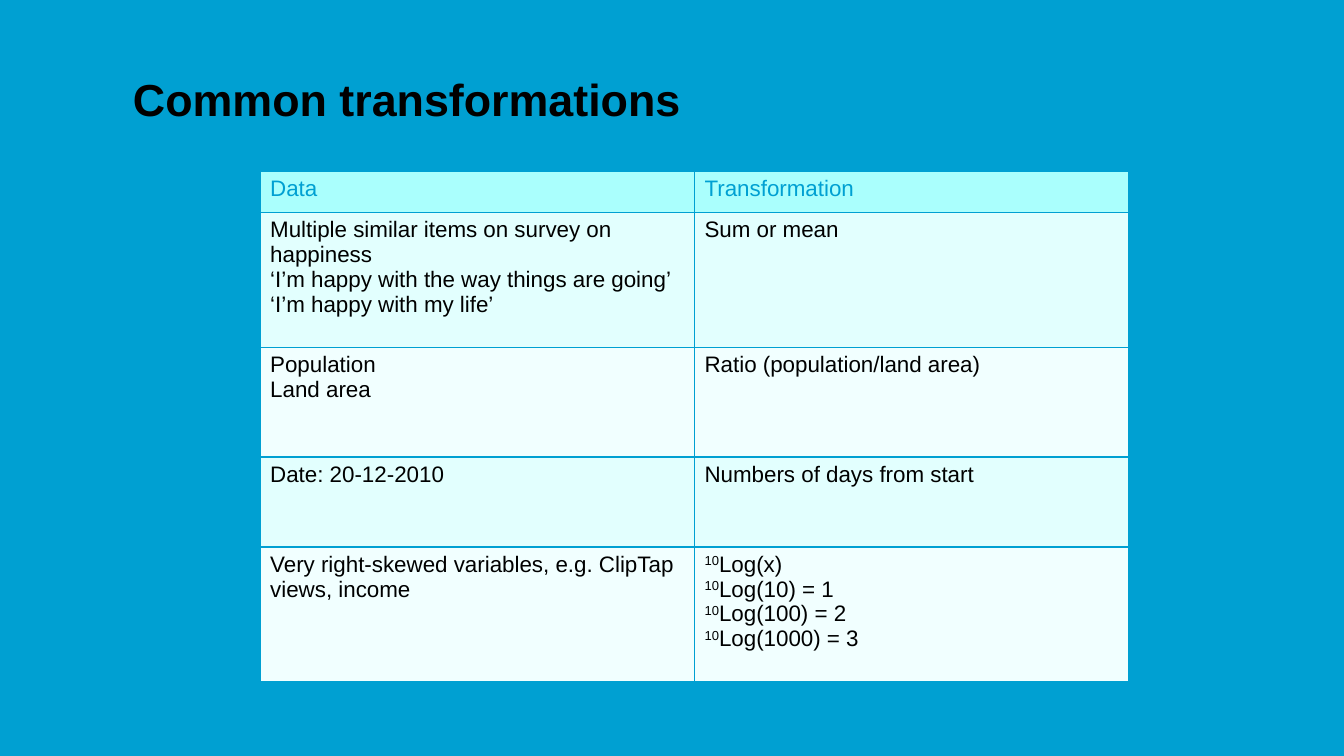
from lxml.etree import SubElement
from pptx import Presentation
from pptx.dml.color import RGBColor
from pptx.enum.text import MSO_ANCHOR as Anchor, PP_ALIGN as Align
from pptx.oxml.ns import qn
from pptx.util import Pt

BLUE, BLACK, HEADER = "00A0D2", "000000", "AAFFFD"
BANDS = ["E2FFFE", "F1FFFF"]
ROW_HEIGHTS = [29.3, 96.4, 78.2, 64.3, 96.4]
COLUMN_WIDTH = 310.3
LOG_BASE = "10"
ROWS = [
    (["Data"], ["Transformation"]),
    (["Multiple similar items on survey on happiness",
      "‘I’m happy with the way things are going’",
      "‘I’m happy with my life’"], ["Sum or mean"]),
    (["Population", "Land area"], ["Ratio (population/land area)"]),
    (["Date: 20-12-2010"], ["Numbers of days from start"]),
    (["Very right-skewed variables, e.g. ClipTap views, income"],
     [(LOG_BASE, "Log(x)"), (LOG_BASE, "Log(10) = 1"),
      (LOG_BASE, "Log(100) = 2"), (LOG_BASE, "Log(1000) = 3")]),
]


def color(value):
    """Turn a hex string into a colour."""
    return RGBColor.from_string(value)


def paint(target, value):
    """Fill a cell or background with one solid colour."""
    target.fill.solid()
    target.fill.fore_color.rgb = color(value)


def add_text(paragraph, text, size=16, ink=BLACK, bold=False, raised=False):
    """Append a formatted run to a paragraph."""
    run = paragraph.add_run()
    run.text = text
    font = run.font
    font.name, font.size, font.bold = "Arial", Pt(size), bold
    font.color.rgb = color(ink)
    if raised:
        run._r.get_or_add_rPr().set("baseline", "30000")


def add_borders(cell, value, width=1):
    """Draw a solid line on all four sides of a cell."""
    properties = cell._tc.get_or_add_tcPr()
    for index, side in enumerate(("a:lnL", "a:lnR", "a:lnT", "a:lnB")):
        line = SubElement(properties, qn(side), w=str(Pt(width)))
        fill = SubElement(line, qn("a:solidFill"))
        SubElement(fill, qn("a:srgbClr"), val=value)
        properties.insert(index, line)


def fill_cell(cell, lines, fill, ink):
    """Write lines, each plain or a raised prefix with its text, in a cell."""
    paint(cell, fill)
    add_borders(cell, BLUE)
    frame = cell.text_frame
    for index, line in enumerate(lines):
        paragraph = frame.add_paragraph() if index else frame.paragraphs[0]
        if isinstance(line, tuple):
            prefix, line = line
            add_text(paragraph, prefix, ink=ink, raised=True)
        add_text(paragraph, line, ink=ink)


def add_title(slide, text):
    """Place and format the slide title."""
    title = slide.shapes.title
    title.left, title.top, title.width, title.height = map(Pt, (87.8, 48.2, 648, 45.4))
    title.text_frame.vertical_anchor = Anchor.BOTTOM
    paragraph = title.text_frame.paragraphs[0]
    paragraph.alignment = Align.LEFT
    add_text(paragraph, text, size=32, bold=True)


def add_data_table(slide, rows):
    """Add the table with a header and alternating row fills."""
    columns = len(rows[0])
    frame = slide.shapes.add_table(len(rows), columns, Pt(185.8), Pt(122.6),
                                   Pt(COLUMN_WIDTH * columns), Pt(sum(ROW_HEIGHTS)))
    table = frame.table
    for column in table.columns:
        column.width = Pt(COLUMN_WIDTH)
    for index, (cells, height) in enumerate(zip(rows, ROW_HEIGHTS)):
        table.rows[index].height = Pt(height)
        fill, ink = (BANDS[(index - 1) % 2], BLACK) if index else (HEADER, BLUE)
        for cell, lines in zip(table.rows[index].cells, cells):
            fill_cell(cell, lines, fill, ink)


def main():
    """Build and save the slide."""
    presentation = Presentation()
    presentation.slide_width, presentation.slide_height = Pt(960), Pt(540)
    slide = presentation.slides.add_slide(presentation.slide_layouts[5])
    paint(slide.background, BLUE)
    add_title(slide, "Common transformations")
    add_data_table(slide, ROWS)
    presentation.save("out.pptx")


main()
